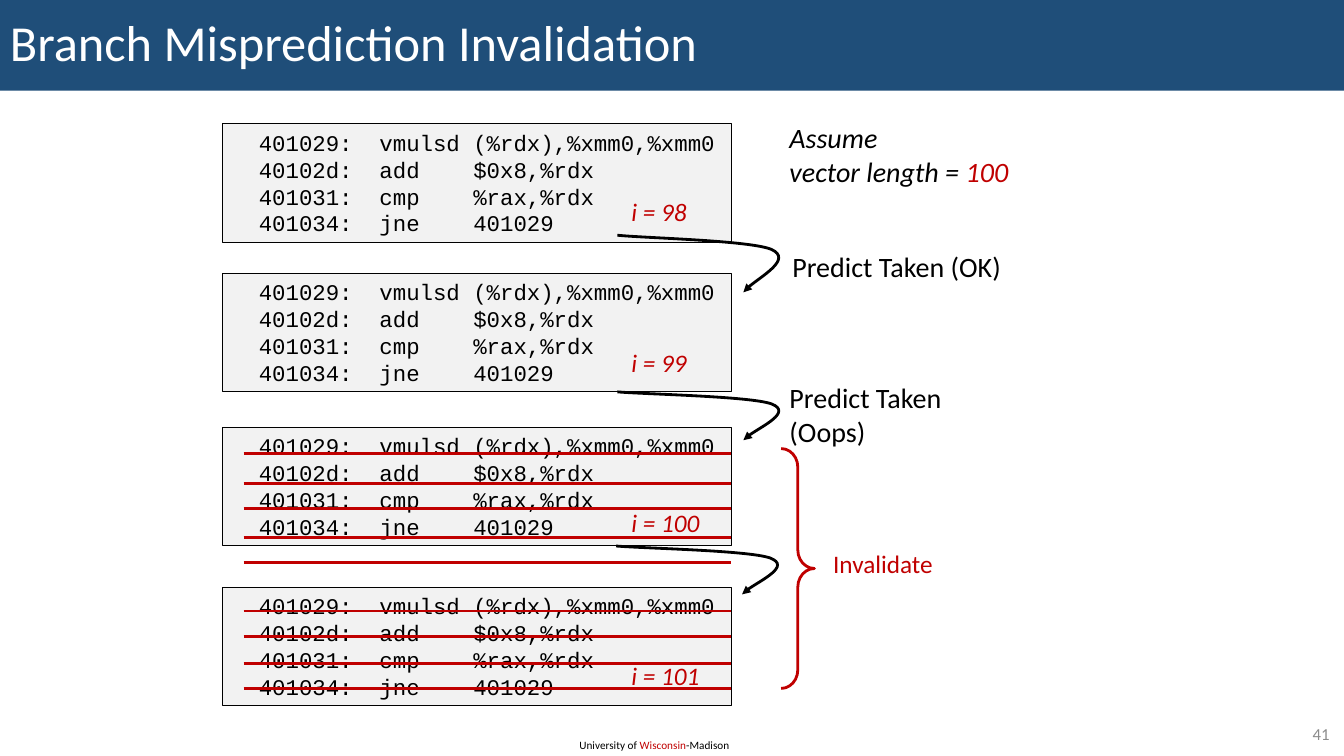
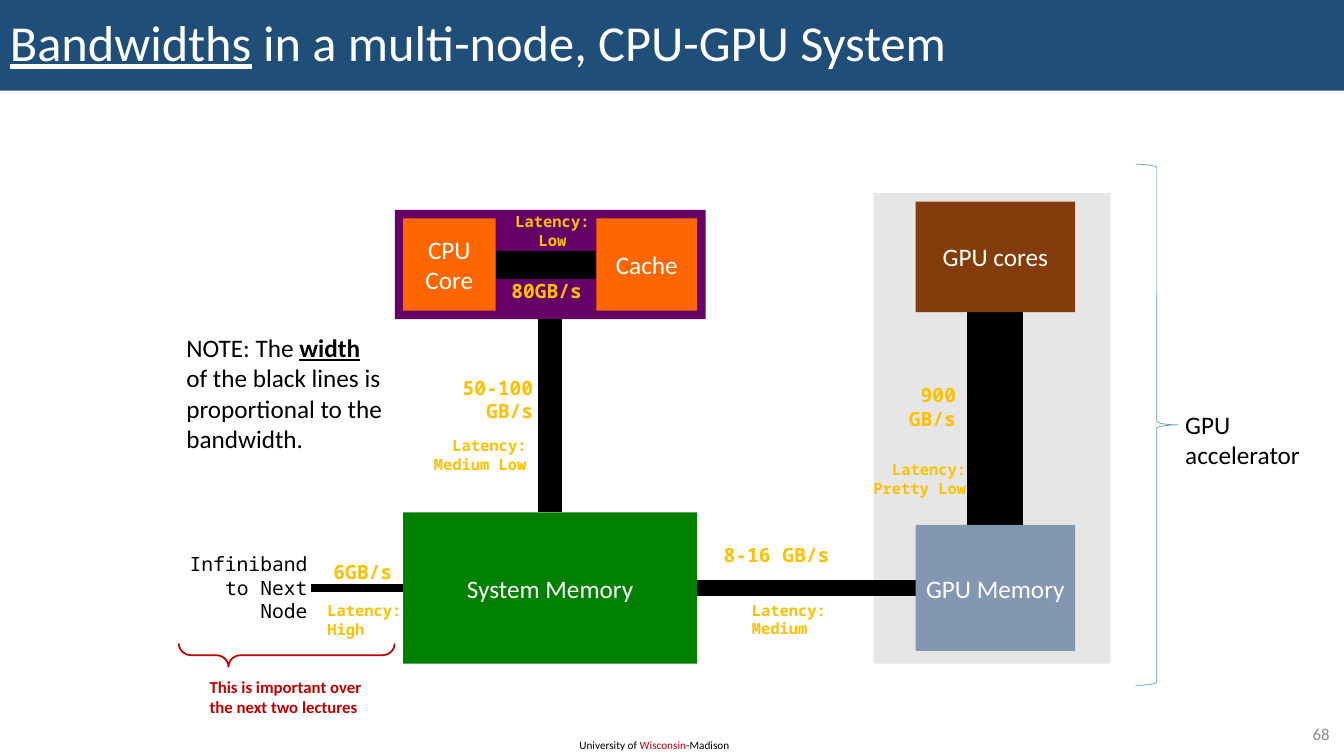
"""Two lecture slides: branch misprediction and CPU-GPU bandwidths."""
from lxml import etree
from pptx import Presentation
from pptx import util as u
from pptx.dml.color import RGBColor
from pptx.enum import shapes, text
from pptx.oxml.ns import qn

COLUMNS, ROWS = 160, 90
WIDTH, HEIGHT = u.Inches(13.33), u.Inches(7.5)
BLACK, WHITE, RED = "000000", "FFFFFF", "C00000"
NAVY, AMBER, ORANGE, GREY = "1F4E79", "FFC000", "FF6600", "8C8C8C"
LEFT, CENTER, RIGHT = (text.PP_ALIGN.LEFT, text.PP_ALIGN.CENTER,
                       text.PP_ALIGN.RIGHT)
BODY = {"name": "Calibri", "size": 18, "color": BLACK}
INVERSE = {**BODY, "color": WHITE}
CODE = {**BODY, "name": "Courier New", "size": 16}
MONO = {**BODY, "name": "Noto Sans Mono", "size": 14}
SPEED = {**MONO, "color": AMBER, "bold": True}
LATENCY = {**SPEED, "size": 11}
LOOP = ["  401029:  vmulsd (%rdx),%xmm0,%xmm0",
        "  40102d:  add    $0x8,%rdx",
        "  401031:  cmp    %rax,%rdx",
        "  401034:  jne    401029"]


def rgb(value):
    """Turn a hex string into a colour."""
    return RGBColor.from_string(value)


def col(count):
    """Length of a number of grid columns."""
    return round(WIDTH * count / COLUMNS)


def row(count):
    """Length of a number of grid rows."""
    return round(HEIGHT * count / ROWS)


def area(left, top, width, height):
    """Place and size of a grid area."""
    return col(left), row(top), col(width), row(height)


def style_span(span, look):
    """Set the font of a run from a dict of format values."""
    for name, value in look.items():
        if name == "color":
            span.font.color.rgb = rgb(value)
        else:
            setattr(span.font, name, u.Pt(value) if name == "size" else value)


def add_words(para, words, look):
    """Add runs to a paragraph, with a line break at each newline."""
    for index, piece in enumerate(words.split("\n")):
        if index:
            para.add_line_break()
        span = para.add_run()
        span.text = piece
        style_span(span, look)


def write(shape, lines, look, align=LEFT, wrap=True):
    """Fill a shape with paragraphs of strings or (string, format) spans."""
    frame = shape.text_frame
    frame.word_wrap = wrap
    for index, line in enumerate(lines):
        para = frame.add_paragraph() if index else frame.paragraphs[0]
        para.alignment = align
        for words, change in [(line, {})] if isinstance(line, str) else line:
            add_words(para, words, {**look, **change})
    return frame


def label(page, place, lines, look=BODY, align=LEFT, wrap=False):
    """Add a text box that grows with its text."""
    box = page.shapes.add_textbox(*area(*place))
    frame = write(box, lines, look, align, wrap)
    frame.auto_size = text.MSO_AUTO_SIZE.SHAPE_TO_FIT_TEXT
    return frame


def outline(shape, color, width):
    """Give a shape or connector a solid line."""
    shape.line.color.rgb = rgb(color)
    shape.line.width = u.Pt(width)


def block(page, place, fill, lines=(), look=INVERSE, align=CENTER):
    """Add a filled rectangle without outline, with optional text."""
    box = page.shapes.add_shape(shapes.MSO_SHAPE.RECTANGLE, *area(*place))
    box.shadow.inherit = False
    box.fill.solid()
    box.fill.fore_color.rgb = rgb(fill)
    box.line.fill.background()
    write(box, lines, look, align)
    return box


def brace(page, kind, place, color, width, adjust=()):
    """Add an unfilled brace."""
    shape = page.shapes.add_shape(kind, *area(*place))
    shape.shadow.inherit = False
    shape.fill.background()
    outline(shape, color, width)
    for index, value in enumerate(adjust):
        shape.adjustments[index] = value
    return shape


def rule(page, start, end, color, width):
    """Add a straight line between two grid points."""
    line = page.shapes.add_connector(
        shapes.MSO_CONNECTOR.STRAIGHT, col(start[0]), row(start[1]),
        col(end[0]), row(end[1]))
    outline(line, color, width)
    etree.SubElement(line._element.spPr, qn("a:effectLst"))


def bend(shape):
    """Turn each three straight segments of a freeform into one curve."""
    segments = list(shape._element.iter(qn("a:lnTo")))
    for index, segment in enumerate(segments):
        if index % 3 == 0:
            curve = etree.SubElement(segment.getparent(), qn("a:cubicBezTo"))
        curve.append(segment[0])
        segment.getparent().remove(segment)


def jump_arrow(page, left, top, height):
    """Add the hooked arrow from one loop pass to the next."""
    across = (0, 3.12, 15.84, 18.36, 20.88, 15.72, 15)
    down = (0, 0.05, 0.09, 0.25, 0.42, 0.84, 1)
    points = [(col(left + x), row(top + y * height))
              for x, y in zip(across, down)]
    builder = page.shapes.build_freeform(*points[0])
    builder.add_line_segments(points[1:], close=False)
    arrow = builder.convert_to_shape()
    bend(arrow)
    arrow.shadow.inherit = False
    arrow.fill.background()
    outline(arrow, BLACK, 2)
    etree.SubElement(arrow._element.spPr.find(qn("a:ln")), qn("a:tailEnd"),
                     type="triangle")


def add_page(deck, title, number):
    """Add a blank slide with title band, footer and slide number."""
    page = deck.slides.add_slide(deck.slide_layouts[6])
    band = block(page, (0, 0, COLUMNS, 10.8), NAVY, [title],
                 {**INVERSE, "size": 36}, LEFT)
    band.text_frame.paragraphs[0].line_spacing = 0.9
    label(page, (67.8, 87.36, 20.64, 2.88),
          [[("University of ", {}), ("Wisconsin", {"color": RED}),
            ("-Madison", {})]], {**BODY, "size": 8}, wrap=True)
    frame = label(page, (150.36, 85.56, 9.12, 3.48), [number],
                  {**BODY, "size": 12, "color": GREY}, RIGHT, True)
    frame.auto_size = text.MSO_AUTO_SIZE.NONE
    frame.vertical_anchor = text.MSO_ANCHOR.MIDDLE
    return page


def misprediction_page(deck):
    """Build the slide on invalidated loop passes."""
    page = add_page(deck, "Branch Misprediction Invalidation", "41")
    passes = ((98, 14.76, 22.8), (99, 32.52, 40.8),
              (100, 50.88, 59.76), (101, 69.9, 78))
    for index, top, label_top in passes:
        box = block(page, (26.45, top, 60.6, 14.1), "F2F2F2", LOOP, CODE, LEFT)
        frame = box.text_frame
        frame.word_wrap = False
        frame.vertical_anchor = text.MSO_ANCHOR.TOP
        frame.auto_size = text.MSO_AUTO_SIZE.SHAPE_TO_FIT_TEXT
        outline(box, BLACK, 0.75)
        label(page, (74, label_top, 9.12 if index < 100 else 10.68, 4.8),
              [f"i = {index}"], {**BODY, "color": RED, "italic": True})
    for left, top, height in ((73.5, 28, 6.8), (73.5, 46.65, 5.76),
                              (73.35, 65, 5.76)):
        jump_arrow(page, left, top, height)
    large = {**BODY, "size": 20}
    label(page, (92.8, 13.8, 29.16, 9.24),
          ["Assume", [("vector length = ", {}), ("100", {"color": RED})]],
          {**large, "italic": True})
    label(page, (93.15, 29.1, 28.08, 5.28), ["Predict Taken (OK)"], large)
    label(page, (92.8, 44.76, 21.12, 9.24), ["Predict Taken", "(Oops)"], large)
    label(page, (98, 64.68, 14.4, 4.8), ["Invalidate"],
          {**BODY, "color": RED})
    for level in (54, 57.6, 60.55, 64, 67, 72.75, 75.75, 79, 82):
        rule(page, (29, level), (87, level), RED, 2)
    brace(page, shapes.MSO_SHAPE.RIGHT_BRACE, (93, 53.4, 3.96, 28.56),
          RED, 2, (0.56, 0.5))


def bandwidth_page(deck):
    """Build the slide on bandwidths between processors and memories."""
    page = add_page(deck, [("Bandwidths", {"underline": True}),
                           (" in a multi-node, CPU-GPU System", {})], "68")
    block(page, (104, 23, 28.2, 56), "E7E6E6")
    block(page, (47, 25, 37, 13), "660066")
    buses = (((83, 70), (109, 70), 12), ((118.5, 37.2), (118.5, 63.6), 40),
             ((65.5, 61), (65.5, 38), 17), ((37, 70), (48, 70), 6),
             ((71, 31.5), (59, 31.5), 20))
    for start, end, width in buses:
        rule(page, start, end, BLACK, width)
    parts = (("System Memory", (48, 61, 35, 18), "008000"),
             ("GPU cores", (109, 24, 19, 13.15), "843C0B"),
             ("CPU Core", (48, 26, 11, 11), ORANGE),
             ("Cache", (71, 26, 12, 11), ORANGE),
             ("GPU Memory", (109, 62.5, 19, 15), "8497B0"))
    for name, place, fill in parts:
        block(page, place, fill, [name])
    speeds = (((53.76, 44.16, 10.92, 6.84), ["50-100", "GB/s"], RIGHT, False),
              ((84.96, 64, 15.12, 4.08), ["8-16 GB/s"], LEFT, False),
              ((91, 45, 24, 6.84), ["900", "GB/s"], RIGHT, True),
              ((38.5, 66.05, 9.48, 4.08), ["6GB/s"], LEFT, False),
              ((59.7, 32.64, 10.92, 4.08), ["80GB/s"], LEFT, False))
    for place, lines, align, wrap in speeds:
        label(page, place, lines, SPEED, align, wrap)
    latencies = ((37.8, 71, 11.4, "High", LEFT),
                 (88.32, 70.92, 11.4, "Medium", LEFT),
                 (50.32, 51.36, 13.56, "Medium Low", RIGHT),
                 (60.08, 24.72, 11.4, "Low", CENTER),
                 (102.65, 54.24, 13.56, "Pretty Low", RIGHT))
    for left, top, width, level, align in latencies:
        label(page, (left, top, width, 5.64), ["Latency:", level],
              LATENCY, align)
    label(page, (20.76, 65.16, 17.04, 9.72), ["Infiniband to Next Node"],
          MONO, RIGHT, True)
    label(page, (21, 38.97, 26.76, 15.72),
          [[("NOTE: The ", {}), ("width", {"bold": True, "underline": True}),
            (" \nof the black lines is\nproportional to the \nbandwidth.",
             {})]])
    label(page, (139.92, 48.12, 16.2, 8.52), ["GPU \naccelerator"])
    label(page, (23.76, 80, 21.48, 6),
          ["This is important over \nthe next two lectures"],
          {**BODY, "size": 12, "color": RED, "bold": True})
    brace(page, shapes.MSO_SHAPE.RIGHT_BRACE, (135.2, 19.56, 5.04, 62.04),
          "5B9BD5", 0.5)
    hint = brace(page, shapes.MSO_SHAPE.LEFT_BRACE, (32.76, 65.16, 2.76, 25.68),
                 RED, 1.25, (0.53, 0.23))
    hint.rotation = 270


def main():
    """Build and save the deck."""
    deck = Presentation()
    deck.slide_width, deck.slide_height = WIDTH, HEIGHT
    misprediction_page(deck)
    bandwidth_page(deck)
    deck.save("out.pptx")


if __name__ == "__main__":
    main()
